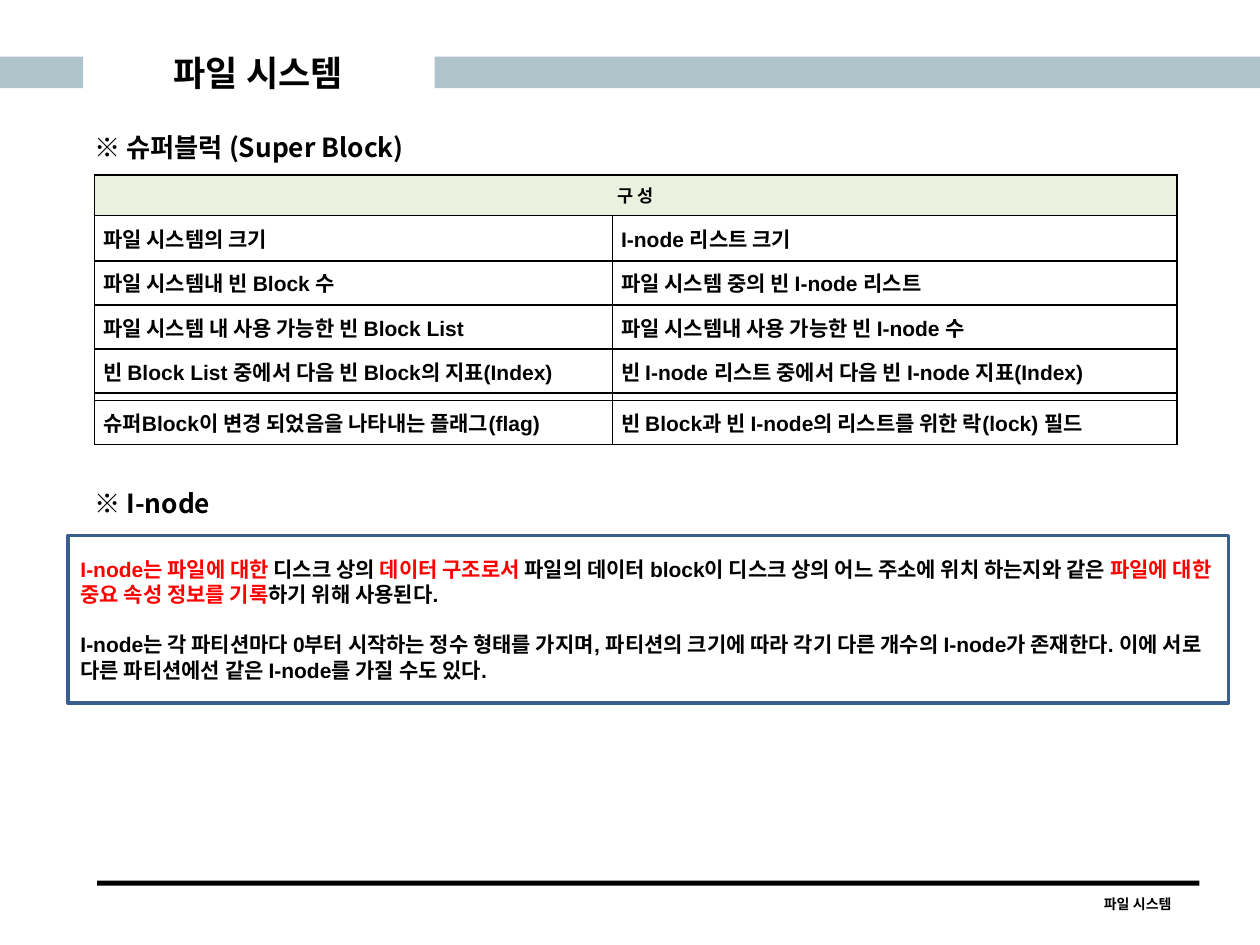
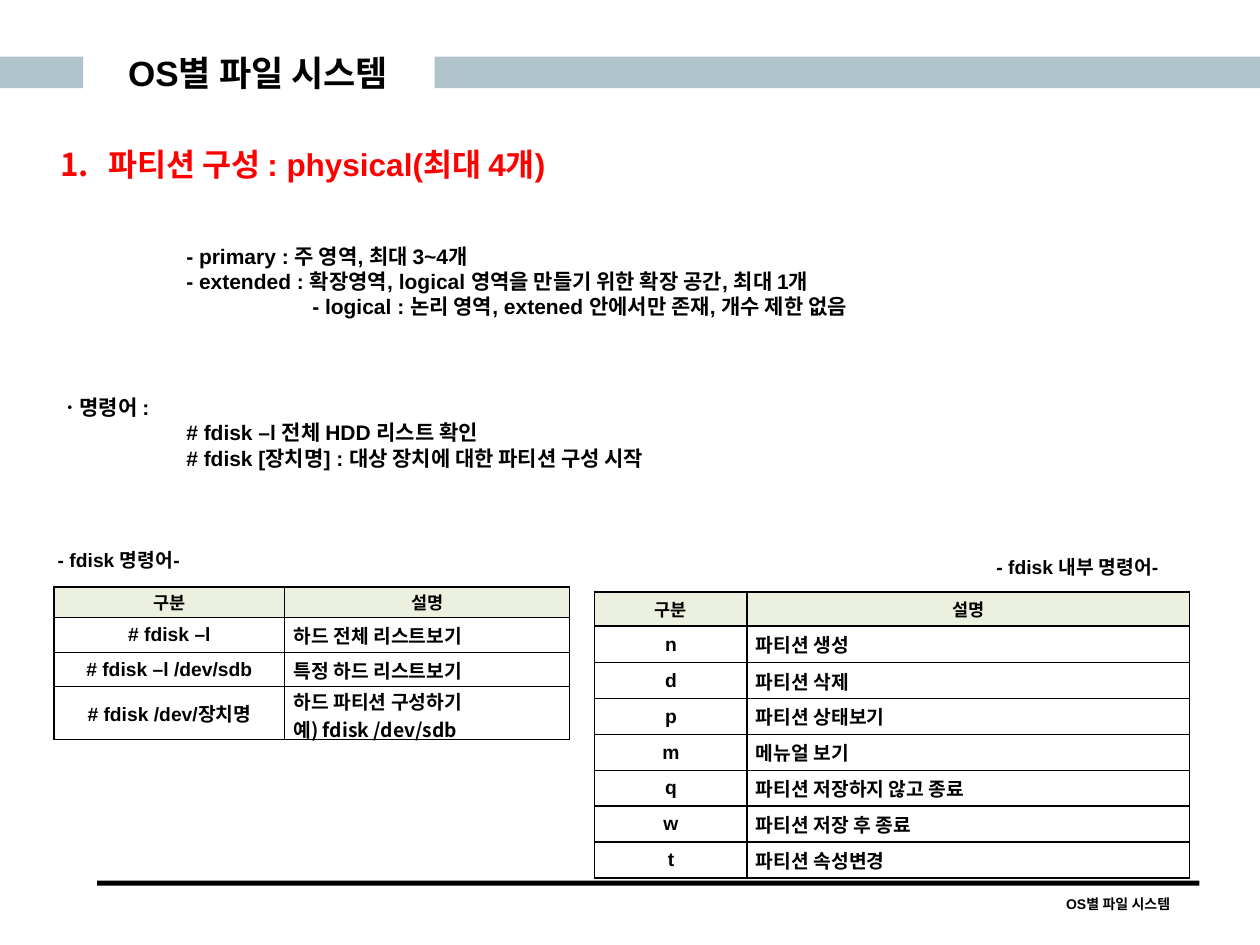
import pptx
import pptx.dml.color
import pptx.enum.shapes
import pptx.enum.text
import pptx.oxml.ns
import pptx.util
from lxml import etree

Inches = pptx.util.Inches
Pt = pptx.util.Pt
RGBColor = pptx.dml.color.RGBColor
ALIGN = pptx.enum.text.PP_ALIGN
MIDDLE = pptx.enum.text.MSO_ANCHOR.MIDDLE
qn = pptx.oxml.ns.qn

BLACK = RGBColor(0x00, 0x00, 0x00)
RED = RGBColor(0xFF, 0x00, 0x00)
BAND = RGBColor(0xAF, 0xC5, 0xCB)
HEADER_FILL = RGBColor(0xEB, 0xF1, 0xDE)
FRAME = RGBColor(0x3A, 0x5F, 0x8C)

LATIN_FONT = "Arial"
KOREAN_FONT = "Noto Sans CJK KR"
LINE_FACTOR = 1.2

SUPER_BLOCK_ROWS = [
    ("구 성", ""),
    ("파일 시스템의 크기", "I-node 리스트 크기"),
    ("파일 시스템내 빈 Block 수", "파일 시스템 중의 빈 I-node 리스트"),
    ("파일 시스템 내 사용 가능한 빈 Block List", "파일 시스템내 사용 가능한 빈 I-node 수"),
    ("빈 Block List 중에서 다음 빈 Block의 지표(Index)",
     "빈 I-node 리스트 중에서 다음 빈 I-node 지표(Index)"),
    ("", ""),
    ("슈퍼Block이 변경 되었음을 나타내는 플래그(flag)",
     "빈 Block과 빈 I-node의 리스트를 위한 락(lock) 필드"),
]
INODE_DEFINITION = [
    ("I-node는 파일에 대한", RED),
    (" 디스크 상의 ", BLACK),
    ("데이터 구조로서", RED),
    (" 파일의 데이터 block이 디스크 상의 어느 주소에 위치 하는지와 같은 ", BLACK),
    ("파일에 대한 중요 속성 정보를 기록", RED),
    ("하기 위해 사용된다.", BLACK),
]
INODE_NUMBERS = (
    "I-node는 각 파티션마다 0부터 시작하는 정수 형태를 가지며, 파티션의 크기에 따라 "
    "각기 다른 개수의 I-node가 존재한다. 이에 서로 다른 파티션에선 같은 I-node를 가질 수도 있다."
)
PARTITION_LINES = [
    ("- primary : 주 영역, 최대 3~4개", 1, 34.8),
    ("- extended : 확장영역, logical 영역을 만들기 위한 확장 공간, 최대 1개", 1, 0),
    ("- logical : 논리 영역, extened 안에서만 존재, 개수 제한 없음", 2, 0),
    ("ㆍ명령어 :", 0, 43.2),
    ("# fdisk –l 전체 HDD 리스트 확인", 1, 0),
    ("# fdisk [장치명] : 대상 장치에 대한 파티션 구성 시작", 1, 0),
]
FDISK_ROWS = [
    ("구분", "설명"),
    ("# fdisk –l", "하드 전체 리스트보기"),
    ("# fdisk –l /dev/sdb", "특정 하드 리스트보기"),
    ("# fdisk /dev/장치명", "하드 파티션 구성하기\n예) fdisk /dev/sdb"),
]
FDISK_KEY_ROWS = [
    ("구분", "설명"),
    ("n", "파티션 생성"),
    ("d", "파티션 삭제"),
    ("p", "파티션 상태보기"),
    ("m", "메뉴얼 보기"),
    ("q", "파티션 저장하지 않고 종료"),
    ("w", "파티션 저장 후 종료"),
    ("t", "파티션 속성변경"),
]


def set_values(target, values):
    for name, value in values.items():
        setattr(target, name, value)


def add_run(paragraph, text, size, color=BLACK, font=LATIN_FONT):
    run = paragraph.add_run()
    run.text = text
    set_values(run.font, {"name": font, "size": Pt(size), "bold": True})
    run.font.color.rgb = color


def set_indent(paragraph, left, first=0):
    properties = paragraph._p.get_or_add_pPr()
    properties.set("marL", str(Inches(left)))
    properties.set("indent", str(Inches(first)))


def add_rectangle(slide, left, top, width, height, fill=None, line=None):
    shape = slide.shapes.add_shape(
        pptx.enum.shapes.MSO_SHAPE.RECTANGLE,
        Inches(left), Inches(top), Inches(width), Inches(height))
    shape.shadow.inherit = False
    if fill is None:
        shape.fill.background()
    else:
        shape.fill.solid()
        shape.fill.fore_color.rgb = fill
    if line is None:
        shape.line.fill.background()
    else:
        shape.line.color.rgb = line
        shape.line.width = Pt(2)
    return shape


def add_text(slide, left, top, width, height, text="", size=12,
             font=LATIN_FONT, align=ALIGN.LEFT, wrap=True, **frame_values):
    box = slide.shapes.add_textbox(
        Inches(left), Inches(top), Inches(width), Inches(height))
    frame = box.text_frame
    set_values(frame, {"word_wrap": wrap, **frame_values})
    paragraph = frame.paragraphs[0]
    paragraph.alignment = align
    if text:
        add_run(paragraph, text, size, font=font)
    return frame


def add_borders(cell):
    properties = cell._tc.get_or_add_tcPr()
    for side in ("a:lnL", "a:lnR", "a:lnT", "a:lnB"):
        line = etree.SubElement(properties, qn(side), w=str(Pt(1)))
        fill = etree.SubElement(line, qn("a:solidFill"))
        etree.SubElement(fill, qn("a:srgbClr"), val=str(BLACK))


def fill_cell(cell, text, size, font, align, header):
    add_borders(cell)
    set_values(cell, {
        "vertical_anchor": MIDDLE,
        "margin_left": Inches(0.07), "margin_right": Inches(0.07),
        "margin_top": 0, "margin_bottom": 0})
    if header:
        cell.fill.solid()
        cell.fill.fore_color.rgb = HEADER_FILL
    else:
        cell.fill.background()
    frame = cell.text_frame
    for index, line in enumerate(text.split("\n")):
        paragraph = frame.add_paragraph() if index else frame.paragraphs[0]
        paragraph.alignment = align
        if line:
            add_run(paragraph, line, size, font=font)
        else:
            etree.SubElement(paragraph._p, qn("a:endParaRPr"), sz="200")


def add_grid(slide, left, top, widths, heights, rows, size, columns):
    table = slide.shapes.add_table(
        len(rows), len(widths), Inches(left), Inches(top),
        Inches(sum(widths)), Inches(sum(heights))).table
    set_values(table, {"first_row": False, "horz_banding": False})
    for column, width in zip(table.columns, widths):
        column.width = Inches(width)
    for row_index, (row, height) in enumerate(zip(rows, heights)):
        table.rows[row_index].height = Inches(height)
        header = row_index == 0
        for column_index, text in enumerate(row):
            font, align = (LATIN_FONT, ALIGN.CENTER) if header else columns[column_index]
            fill_cell(table.cell(row_index, column_index), text,
                      10 if header else size, font, align, header)
    return table


def add_base_slide(presentation, title, footer_width):
    slide = presentation.slides.add_slide(presentation.slide_layouts[6])
    add_rectangle(slide, 0, 0.45, 0.66, 0.25, BAND)
    add_rectangle(slide, 3.45, 0.45, 6.55, 0.25, BAND)
    add_rectangle(slide, 0.77, 6.99, 8.75, 0.04, BLACK)
    add_text(slide, 0.75, 0.36, 2.6, 0.43, title, 20, align=ALIGN.CENTER,
             vertical_anchor=MIDDLE, margin_top=Inches(0.04),
             margin_bottom=Inches(0.04))
    add_text(slide, 9.52 - footer_width, 7.06, footer_width, 0.24, title, 8,
             align=ALIGN.CENTER)
    return slide


def add_inode_frame(slide):
    frame = add_rectangle(slide, 0.54, 4.25, 9.21, 1.33, line=FRAME).text_frame
    set_values(frame, {"word_wrap": True, "vertical_anchor": MIDDLE})
    definition = frame.paragraphs[0]
    for text, color in INODE_DEFINITION:
        add_run(definition, text, 12, color)
    numbers = frame.add_paragraph()
    add_run(numbers, INODE_NUMBERS, 12)
    numbers.space_before = Pt(12 * LINE_FACTOR)
    for paragraph in frame.paragraphs:
        set_values(paragraph, {"alignment": ALIGN.LEFT,
                               "line_spacing": Pt(12 * LINE_FACTOR)})


def add_partition_text(slide):
    frame = add_text(slide, 0.38, 1.1, 8.62, 2.71)
    heading = frame.paragraphs[0]
    set_indent(heading, 0.38, -0.38)
    etree.SubElement(heading._p.get_or_add_pPr(), qn("a:buAutoNum"),
                     type="arabicPeriod")
    heading.line_spacing = Pt(18 * LINE_FACTOR)
    add_run(heading, "파티션 구성 : physical(최대 4개)", 18, RED)
    for text, level, space in PARTITION_LINES:
        paragraph = frame.add_paragraph()
        set_indent(paragraph, level)
        set_values(paragraph, {"space_before": Pt(space),
                               "line_spacing": Pt(12 * LINE_FACTOR)})
        add_run(paragraph, text, 12)


def build_super_block_slide(presentation):
    slide = add_base_slide(presentation, "파일 시스템", 0.98)
    for top, heading in ((0.99, "※ 슈퍼블럭 (Super Block)"), (3.82, "※ I-node")):
        add_text(slide, 0.65, top, 8.3, 0.35, heading, 15, KOREAN_FONT)
    heights = [0.32, 0.36, 0.35, 0.35, 0.35, 0.06, 0.35]
    table = add_grid(slide, 0.75, 1.39, [4.11, 4.48], heights,
                     SUPER_BLOCK_ROWS, 12, [(LATIN_FONT, ALIGN.LEFT)] * 2)
    table.cell(0, 0).merge(table.cell(0, 1))
    add_inode_frame(slide)


def build_partition_slide(presentation):
    slide = add_base_slide(presentation, "OS별 파일 시스템", 1.29)
    add_partition_text(slide)
    columns = [(LATIN_FONT, ALIGN.CENTER), (KOREAN_FONT, ALIGN.LEFT)]
    add_grid(slide, 0.43, 4.66, [1.83, 2.26], [0.24, 0.28, 0.27, 0.42],
             FDISK_ROWS, 11, columns)
    add_grid(slide, 4.72, 4.7, [1.21, 3.51], [0.27, 0.29] + [0.285] * 6,
             FDISK_KEY_ROWS, 11, columns)
    add_text(slide, 0.36, 4.3, 1.25, 0.29, "- fdisk 명령어-", 11, wrap=False)
    add_text(slide, 7.81, 4.36, 1.62, 0.29, "- fdisk 내부 명령어-", 11, wrap=False)


def main():
    presentation = pptx.Presentation()
    set_values(presentation, {"slide_width": Inches(10), "slide_height": Inches(7.5)})
    build_super_block_slide(presentation)
    build_partition_slide(presentation)
    presentation.save("out.pptx")


if __name__ == "__main__":
    main()
